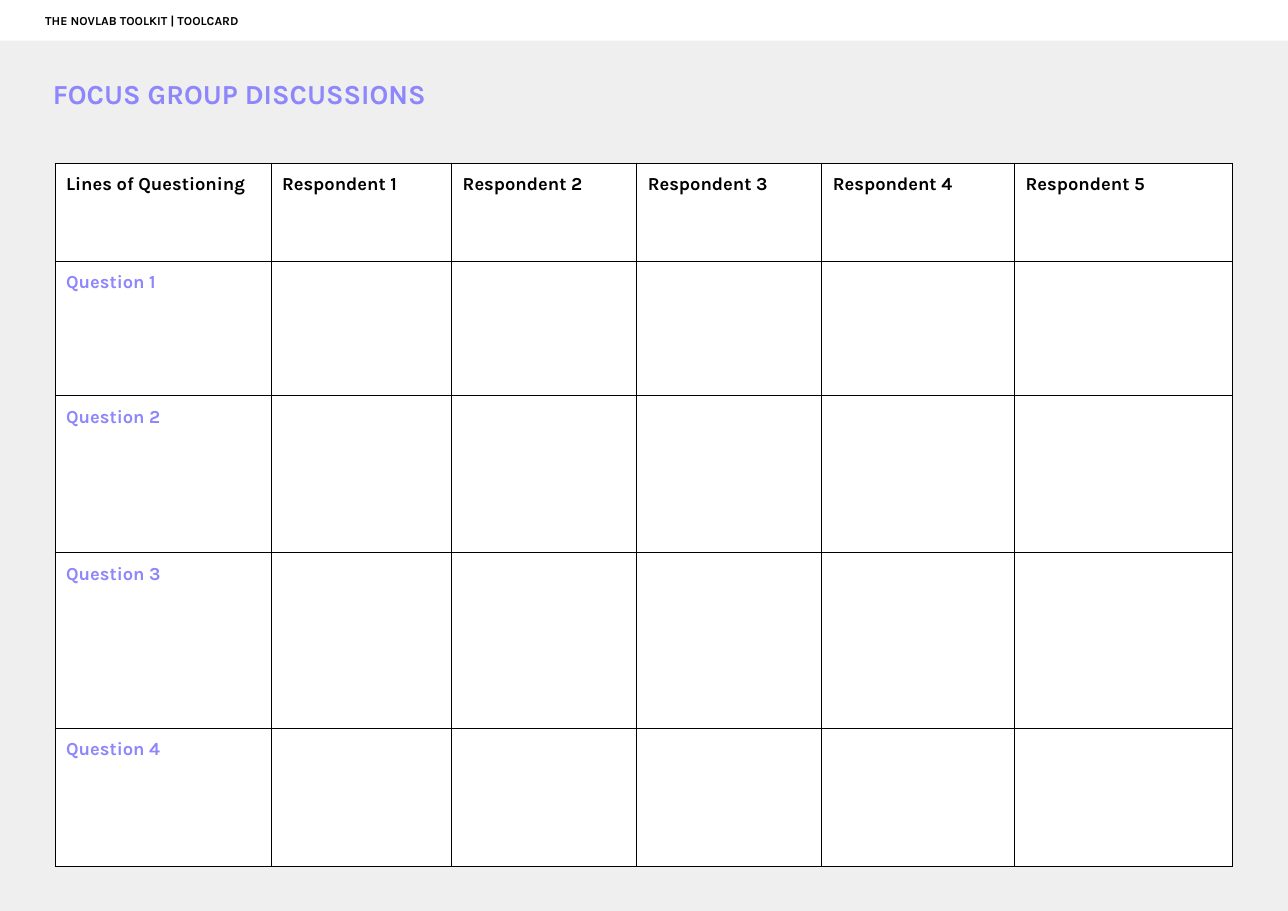
"""Build the focus group discussion toolcard as a one-slide presentation."""
from dataclasses import dataclass

from lxml.etree import SubElement
from pptx import Presentation
from pptx.dml.color import RGBColor
from pptx.enum.shapes import MSO_SHAPE
from pptx.enum.text import MSO_ANCHOR, MSO_AUTO_SIZE, PP_ALIGN
from pptx.oxml.ns import qn
from pptx.util import Inches, Pt


@dataclass(frozen=True)
class Theme:
    font: str = "Karla"
    ink: str = "000000"
    accent: str = "8D86FC"
    paper: str = "FFFFFF"
    backdrop: str = "EFEFEF"
    title: int = 18
    cell: int = 12
    header: int = 8
    rule: float = 0.75


theme = Theme()
W, H = 11.69, 8.27
INSET = 0.1
COLS = [1.96, 1.64, 1.68, 1.68, 1.75, 1.98]
ROWS = [0.89, 1.22, 1.43, 1.59, 1.26]


def write(tf, text, size=theme.cell, color=theme.ink, left=INSET, anchor=MSO_ANCHOR.MIDDLE):
    tf.margin_left = Inches(left)
    tf.margin_right = tf.margin_top = tf.margin_bottom = Inches(INSET)
    tf.vertical_anchor = anchor
    tf.word_wrap = True
    p = tf.paragraphs[0]
    p.alignment = PP_ALIGN.LEFT
    r = p.add_run()
    r.text = text
    r.font.name, r.font.size, r.font.bold = theme.font, Pt(size), True
    r.font.color.rgb = RGBColor.from_string(color)


def add_band(s, width, height, color):
    sp = s.shapes.add_shape(MSO_SHAPE.RECTANGLE, 0, 0, Inches(width), Inches(height))
    sp.shadow.inherit = False
    sp.fill.solid()
    sp.fill.fore_color.rgb = RGBColor.from_string(color)
    sp.line.fill.background()
    return sp


prs = Presentation()
prs.slide_width, prs.slide_height = Inches(W), Inches(H)
s = prs.slides.add_slide(prs.slide_layouts[5])
add_band(s, W, H, theme.backdrop)

frame = s.shapes.add_table(len(ROWS), len(COLS), Inches(0.5), Inches(1.48),
                           Inches(sum(COLS)), Inches(sum(ROWS)))
table = frame.table
table.first_row = table.horz_banding = False
for column, width in zip(table.columns, COLS):
    column.width = Inches(width)
for row, height in zip(table.rows, ROWS):
    row.height = Inches(height)

for i in range(len(ROWS)):
    for j in range(len(COLS)):
        cell = table.cell(i, j)
        tcPr = cell._tc.get_or_add_tcPr()
        for side in ("a:lnL", "a:lnR", "a:lnT", "a:lnB"):
            ln = SubElement(tcPr, qn(side), w=str(Pt(theme.rule)))
            fill = SubElement(ln, qn("a:solidFill"))
            SubElement(fill, qn("a:srgbClr"), val=theme.ink)
        cell.fill.solid()
        cell.fill.fore_color.rgb = RGBColor.from_string(theme.paper)
        cell.margin_left = cell.margin_right = Inches(INSET)
        cell.margin_top = cell.margin_bottom = Inches(INSET)
        cell.vertical_anchor = MSO_ANCHOR.TOP
        if i and j:
            continue
        text = f"Question {i}" if i else f"Respondent {j}" if j else "Lines of Questioning"
        r = cell.text_frame.paragraphs[0].add_run()
        r.text = text
        r.font.name, r.font.size, r.font.bold = theme.font, Pt(theme.cell), True
        r.font.color.rgb = RGBColor.from_string(theme.accent if i else theme.ink)

title = s.shapes.title
title.left, title.top = 0, Inches(0.59)
title.width, title.height = Inches(6.64), Inches(0.51)
title.text_frame.auto_size = MSO_AUTO_SIZE.NONE
write(title.text_frame, "FOCUS GROUP DISCUSSIONS", size=theme.title, color=theme.accent, left=0.48)
frame.element.addnext(title.element)

header = add_band(s, W, 0.37, theme.paper)
write(header.text_frame, "THE NOVLAB TOOLKIT | TOOLCARD", size=theme.header, left=0.41)

prs.save("out.pptx")
